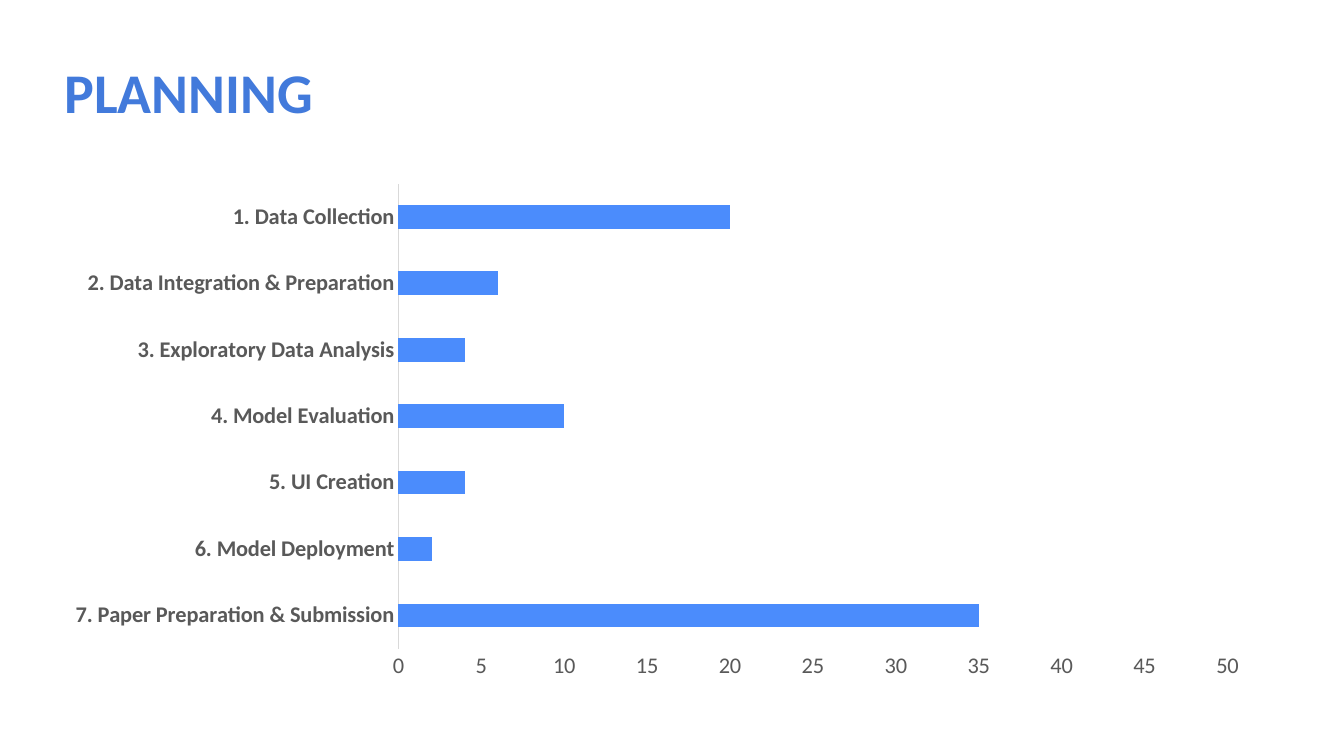
import pptx
import pptx.chart.data
import pptx.dml.color
import pptx.enum.chart
import pptx.enum.text
import pptx.util

Pt = pptx.util.Pt


def rgb(value):
    return pptx.dml.color.RGBColor.from_string(value)


def apply(target, **values):
    for name, value in values.items():
        setattr(target, name, value)


class Deck:
    """Hold the style and the current slide, and add elements to it."""

    font = "Calibri"
    title_color = "427ADB"
    bar_color = "4B8CFC"
    label_color = "595959"
    line_color = "D9D9D9"

    def __init__(self, prs):
        self.s = prs.slides.add_slide(prs.slide_layouts[6])

    def style(self, font, size, color, bold=False):
        apply(font, name=self.font, size=Pt(size), bold=bold)
        font.color.rgb = rgb(color)

    def title(self, text, x, y, w, h):
        sp = self.s.shapes.add_textbox(Pt(x), Pt(y), Pt(w), Pt(h))
        tf = sp.text_frame
        apply(tf, word_wrap=True, margin_left=0, margin_top=0,
              margin_right=0, margin_bottom=0,
              auto_size=pptx.enum.text.MSO_AUTO_SIZE.SHAPE_TO_FIT_TEXT)
        p = tf.paragraphs[0]
        apply(p, line_spacing=0.9, space_before=Pt(10))
        r = p.add_run()
        r.text = text
        self.style(r.font, 40, self.title_color, bold=True)

    def axis(self, axis, bold=False):
        none = pptx.enum.chart.XL_TICK_MARK.NONE
        apply(axis, major_tick_mark=none, minor_tick_mark=none,
              has_major_gridlines=False)
        self.style(axis.tick_labels.font, 16, self.label_color, bold)

    def bar_chart(self, tasks, maximum, step, x, y, w, h):
        data = pptx.chart.data.CategoryChartData()
        data.categories = [name for name, _ in tasks]
        data.add_series("Series 1", [value for _, value in tasks])
        kind = pptx.enum.chart.XL_CHART_TYPE.BAR_CLUSTERED
        chart = self.s.shapes.add_chart(
            kind, Pt(x), Pt(y), Pt(w), Pt(h), data).chart
        apply(chart, has_legend=False, has_title=False)
        self.style(chart.font, 16, "000000")
        plot = chart.plots[0]
        apply(plot, gap_width=182, vary_by_categories=False)
        fill = plot.series[0].format.fill
        fill.solid()
        fill.fore_color.rgb = rgb(self.bar_color)
        self.axis(chart.category_axis, bold=True)
        line = chart.category_axis.format.line
        line.color.rgb = rgb(self.line_color)
        line.width = Pt(0.75)
        self.axis(chart.value_axis)
        apply(chart.value_axis, minimum_scale=0, maximum_scale=maximum,
              major_unit=step)
        chart.value_axis.format.line.fill.background()


def main():
    prs = pptx.Presentation()
    apply(prs, slide_width=Pt(960), slide_height=Pt(540))
    deck = Deck(prs)
    deck.title("PLANNING", 46, 46.8, 856, 44)
    tasks = [
        ("7. Paper Preparation & Submission", 35),
        ("6. Model Deployment", 2),
        ("5. UI Creation", 4),
        ("4. Model Evaluation", 10),
        ("3. Exploratory Data Analysis", 4),
        ("2. Data Integration & Preparation", 6),
        ("1. Data Collection", 20),
    ]
    deck.bar_chart(tasks, 50, 5, 36.7, 123.8, 865.4, 369.4)
    prs.save("out.pptx")


if __name__ == "__main__":
    main()
